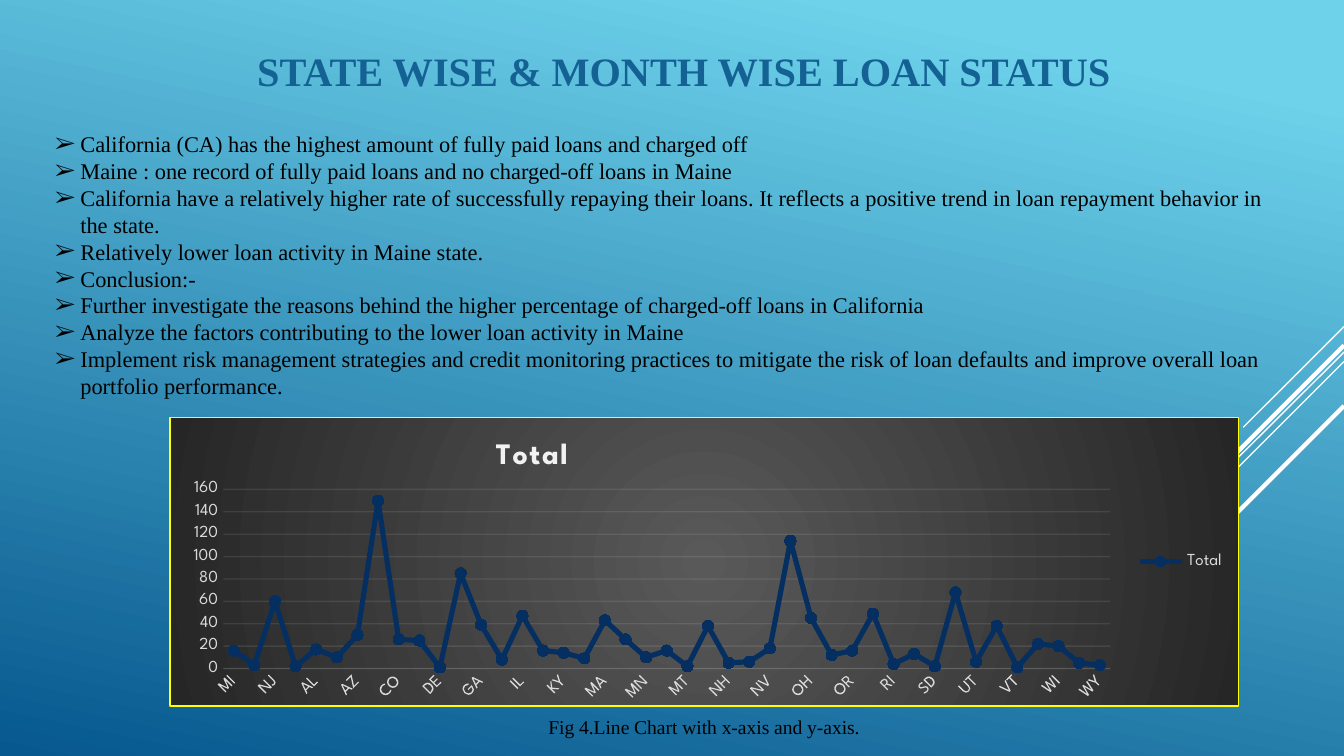
"""Build the slide on loan status by state, with findings and a line chart."""
from typing import NamedTuple

from lxml import etree
from pptx import Presentation
from pptx import util as u
from pptx.chart.data import CategoryChartData
from pptx.dml.color import RGBColor
from pptx.enum import chart as ce, shapes, text
from pptx.oxml import parse_xml
from pptx.oxml.ns import nsdecls, qn

WIDTH = u.Inches(10)
HEIGHT = WIDTH * 9 // 16
SERIF, SANS = "Times New Roman", "League Spartan"
NAVY, PALE, GREY = "052F61", "F2F2F2", "D9D9D9"


class Box(NamedTuple):
    left: float
    top: float
    width: float
    height: float

    def place(self) -> tuple:
        return across(self.left), down(self.top), across(self.width), down(self.height)


class Ray(NamedTuple):
    start_y: float
    end_x: float
    end_y: float
    weight: float


TITLE = Box(9.6, 5, 82.6, 8.53)
FINDINGS_BOX = Box(3.1, 16.36, 94, 37.69)
CAPTION = Box(32.7, 93.69, 39.4, 4.98)
CHART = Box(12.6, 55.11, 79.6, 38.4)
RAYS = [
    Ray(43.2, 92.5, 56.53, 0.75),
    Ray(46.58, 75.5, 89.96, 0.75),
    Ray(47.82, 84.4, 75.56, 0.75),
    Ray(45.69, 85.7, 71.11, 2.25),
    Ray(53.69, 89.6, 72.18, 2.25),
]
FINDINGS = [
    "California (CA) has the highest amount of fully paid loans and charged off",
    "Maine : one record of fully paid loans and no charged-off loans in Maine",
    "California have a relatively higher rate of successfully repaying their loans. "
    "It reflects a positive trend in loan repayment behavior in the state.",
    "Relatively lower loan activity in Maine state.",
    "Conclusion:-",
    "Further investigate the reasons behind the higher percentage of charged-off loans in California",
    "Analyze the factors contributing to the lower loan activity in Maine",
    "Implement risk management strategies and credit monitoring practices to mitigate the risk "
    "of loan defaults and improve overall loan portfolio performance.",
]
STATES = (
    "MI DC NJ AK AL AR AZ CA CO CT DE FL GA HI IL KS KY LA MA MD MN MO "
    "MT NC NH NM NV NY OH OK OR PA RI SC SD TX UT VA VT WA WI WV WY"
).split()
TOTALS = [
    16, 3, 60, 2, 17, 10, 30, 150, 26, 25, 1, 85, 39, 8, 47, 16, 14, 9, 43, 26, 10, 16,
    2, 38, 5, 6, 18, 114, 45, 12, 16, 49, 4, 13, 2, 68, 6, 38, 1, 22, 20, 5, 3,
]


def across(percent: float) -> int:
    return round(WIDTH * percent / 100)


def down(percent: float) -> int:
    return round(HEIGHT * percent / 100)


def rgb(value: str) -> RGBColor:
    return RGBColor.from_string(value)


def set_font(font, size: float, color: str, name: str, bold: bool = False) -> None:
    font.size, font.name, font.bold = u.Pt(size), name, bold
    font.color.rgb = rgb(color)


def set_line(line, color: str, weight: float) -> None:
    line.color.rgb = rgb(color)
    line.width = u.Pt(weight)


def paint_background(slide) -> None:
    fill = slide.background.fill
    fill.gradient()
    fill.gradient_angle = 258
    for stop, color, position in zip(fill.gradient_stops, ("6ED2EB", "06588E"), (0.1, 1)):
        stop.color.rgb = rgb(color)
        stop.position = position


def draw_ray(slide, ray: Ray) -> None:
    connector = slide.shapes.add_connector(
        shapes.MSO_CONNECTOR.STRAIGHT, WIDTH, down(ray.start_y), across(ray.end_x), down(ray.end_y)
    )
    set_line(connector.line, "FFFFFF", ray.weight)
    etree.SubElement(connector.element.spPr, qn("a:effectLst"))


def write_title(slide) -> None:
    title = slide.shapes.title
    title.left, title.top, title.width, title.height = TITLE.place()
    frame = title.text_frame
    frame.text = "STATE WISE & MONTH WISE LOAN STATUS"
    frame.vertical_anchor = text.MSO_ANCHOR.MIDDLE
    paragraph = frame.paragraphs[0]
    paragraph.alignment = text.PP_ALIGN.CENTER
    set_font(paragraph.font, 21.6, "146194", SERIF, True)


def add_text(slide, box: Box, lines: list[str], size: float, bulleted: bool) -> None:
    frame = slide.shapes.add_textbox(*box.place()).text_frame
    frame.word_wrap = True
    frame.text = "\n".join(lines)
    for paragraph in frame.paragraphs:
        if bulleted:
            paragraph.line_spacing = u.Pt(14.4)
            properties = paragraph._p.get_or_add_pPr()
            properties.set("marL", str(u.Inches(0.19)))
            properties.set("indent", str(-u.Inches(0.19)))
            color = etree.SubElement(properties, qn("a:buClr"))
            etree.SubElement(color, qn("a:srgbClr"), val="000000")
            etree.SubElement(properties, qn("a:buFont"), typeface=SERIF)
            etree.SubElement(properties, qn("a:buChar"), char="➢")
        else:
            paragraph.alignment = text.PP_ALIGN.CENTER
        set_font(paragraph.font, size, "000000", SERIF)


def set_layout(parent, index: int, **values: float) -> None:
    for old in parent.findall(qn("c:layout")):
        parent.remove(old)
    layout = etree.Element(qn("c:layout"))
    manual = etree.SubElement(layout, qn("c:manualLayout"))
    if "w" in values:
        etree.SubElement(manual, qn("c:layoutTarget"), val="inner")
    for mode in ("xMode", "yMode"):
        etree.SubElement(manual, qn(f"c:{mode}"), val="edge")
    for key, value in values.items():
        etree.SubElement(manual, qn(f"c:{key}"), val=str(value))
    parent.insert(index, layout)


def style_chart_area(chart) -> None:
    stops = "".join(
        f'<a:gs pos="{position}"><a:srgbClr val="{color}"/></a:gs>'
        for position, color in ((0, "595959"), (100000, "262626"))
    )
    area = parse_xml(
        f'<c:spPr {nsdecls("c", "a")}><a:gradFill><a:gsLst>{stops}</a:gsLst>'
        '<a:path path="circle"><a:fillToRect l="50000" t="50000" r="50000" b="50000"/></a:path>'
        '</a:gradFill><a:ln w="9525"><a:solidFill><a:srgbClr val="FFFF00"/></a:solidFill></a:ln></c:spPr>'
    )
    chart.element.find(qn("c:chart")).addnext(area)


def style_axes(chart) -> None:
    for axis in (chart.category_axis, chart.value_axis):
        axis.major_tick_mark = axis.minor_tick_mark = ce.XL_TICK_MARK.NONE
        set_font(axis.tick_labels.font, 9, GREY, SANS)
    set_line(chart.category_axis.format.line, PALE, 0.75)
    chart.value_axis.format.line.fill.background()
    chart.value_axis.minimum_scale, chart.value_axis.maximum_scale = 0, 160
    chart.value_axis.major_unit = 20
    set_line(chart.value_axis.major_gridlines.format.line, PALE, 0.75)
    for color in chart.element.xpath(".//c:majorGridlines//a:srgbClr | .//c:catAx/c:spPr//a:srgbClr"):
        etree.SubElement(color, qn("a:alpha"), val="10000")
    chart.element.xpath(".//c:catAx/c:txPr/a:bodyPr")[0].set("rot", "-2700000")


def add_totals_chart(slide) -> None:
    data = CategoryChartData()
    data.categories = STATES
    data.add_series("Total", TOTALS)
    chart = slide.shapes.add_chart(ce.XL_CHART_TYPE.LINE_MARKERS, *CHART.place(), data).chart
    set_font(chart.font, 10, "FFFFFF", SANS)
    style_chart_area(chart)
    style_axes(chart)

    chart.has_title = True
    chart.chart_title.text_frame.text = "Total"
    set_font(chart.chart_title.text_frame.paragraphs[0].font, 16, PALE, SANS, True)
    chart.element.xpath(".//c:title//a:defRPr")[0].set("spc", "100")
    set_layout(chart.element.xpath(".//c:title")[0], 1, x=0.3, y=0.06)
    set_layout(chart.element.xpath(".//c:plotArea")[0], 0, x=0.05, y=0.25, w=0.83, h=0.62)

    chart.has_legend = True
    chart.legend.position = ce.XL_LEGEND_POSITION.RIGHT
    chart.legend.include_in_layout = False
    set_font(chart.legend.font, 9, GREY, SANS)

    chart.plots[0].vary_by_categories = False
    series = chart.plots[0].series[0]
    series.smooth = False
    set_line(series.format.line, NAVY, 2.75)
    series.marker.style, series.marker.size = ce.XL_MARKER_STYLE.CIRCLE, 6
    series.marker.format.fill.solid()
    series.marker.format.fill.fore_color.rgb = rgb("002F66")
    set_line(series.marker.format.line, NAVY, 0.75)


def main() -> None:
    presentation = Presentation()
    presentation.slide_width, presentation.slide_height = WIDTH, HEIGHT
    slide = presentation.slides.add_slide(presentation.slide_layouts[5])
    paint_background(slide)
    for ray in RAYS:
        draw_ray(slide, ray)
    write_title(slide)
    add_text(slide, FINDINGS_BOX, FINDINGS, 12, True)
    add_text(slide, CAPTION, ["Fig 4.Line Chart with x-axis and y-axis."], 10.5, False)
    add_totals_chart(slide)
    presentation.save("out.pptx")


if __name__ == "__main__":
    main()
